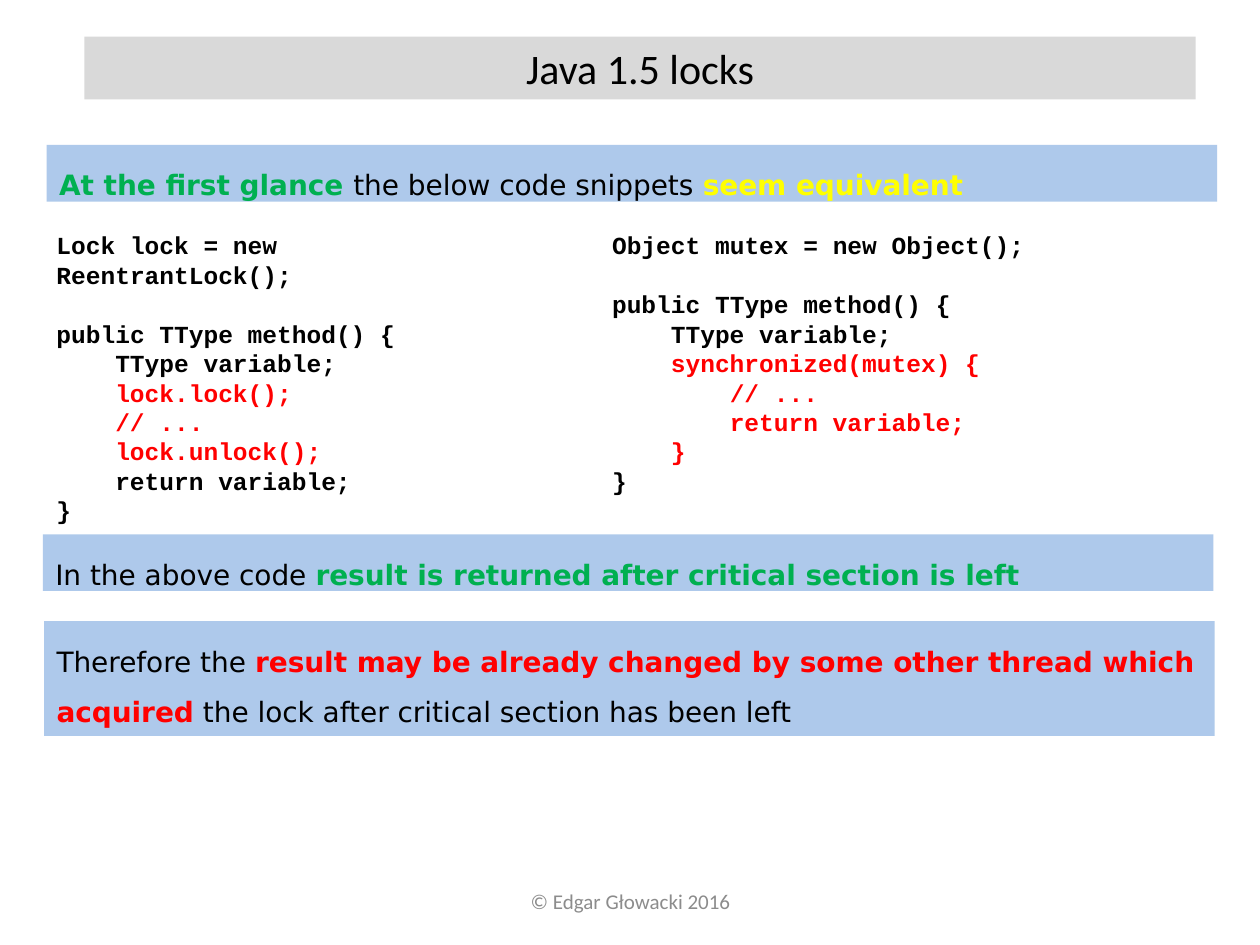
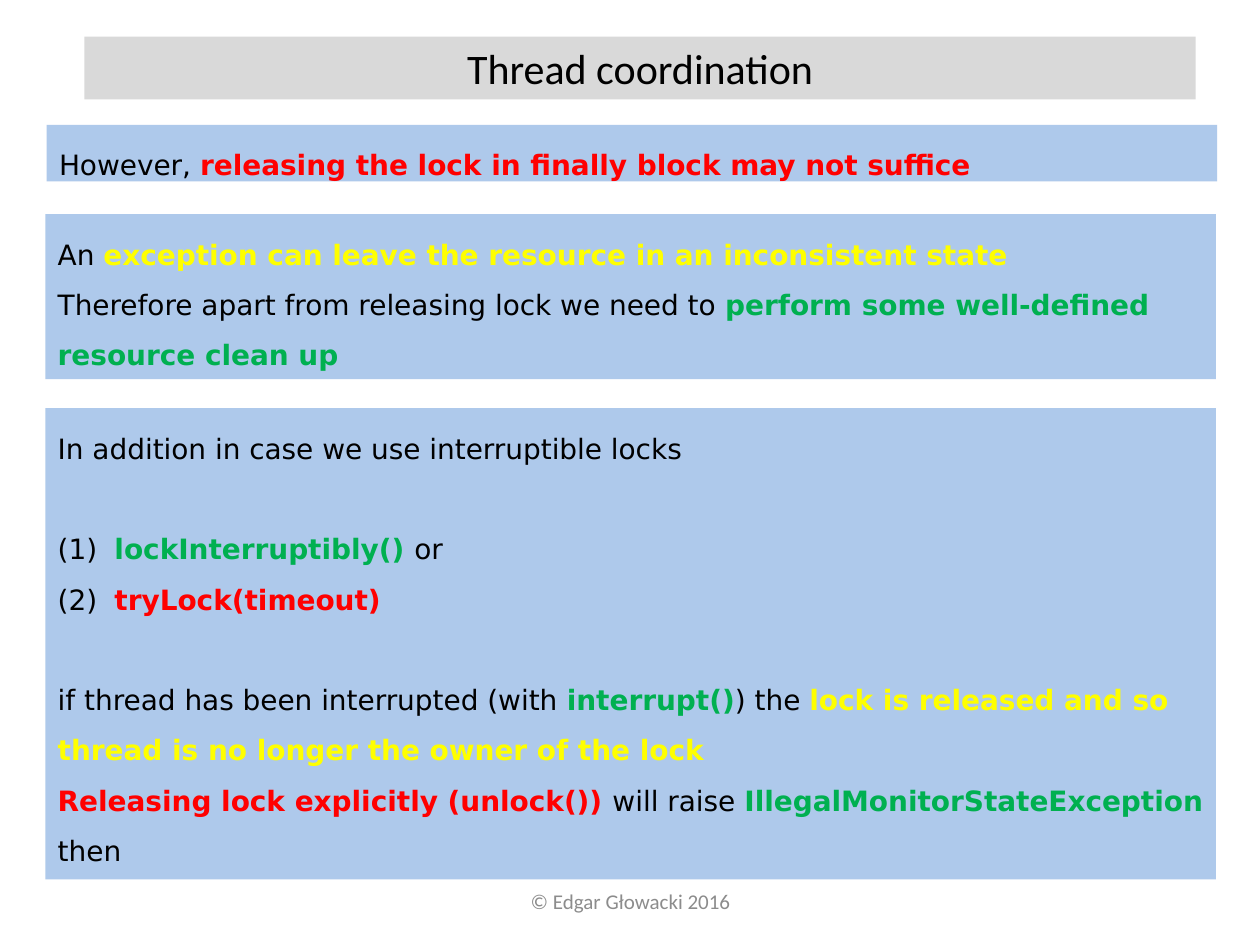
from pptx import Presentation
from pptx.dml.color import RGBColor
from pptx.enum.shapes import MSO_SHAPE
from pptx.enum.text import MSO_ANCHOR, PP_ALIGN
from pptx.oxml.ns import qn
from pptx.util import Inches, Pt
from lxml import etree

RECTANGLE = MSO_SHAPE.RECTANGLE
TOP, MIDDLE = MSO_ANCHOR.TOP, MSO_ANCHOR.MIDDLE
LEFT, CENTER = PP_ALIGN.LEFT, PP_ALIGN.CENTER

BLACK = RGBColor(0x00, 0x00, 0x00)
GREEN = RGBColor(0x00, 0xB0, 0x50)
YELLOW = RGBColor(0xFF, 0xFF, 0x00)
RED = RGBColor(0xFF, 0x00, 0x00)
FOOTER_GRAY = RGBColor(0x8C, 0x8C, 0x8C)
TITLE_GRAY = RGBColor(0xD9, 0xD9, 0xD9)
NOTE_BLUE = RGBColor(0x8E, 0xB4, 0xE3)

BODY_FONT, CODE_FONT, TITLE_FONT = "DejaVu Sans", "Courier New", "Calibri"
NOTE_WIDTH = 9.29
CODE_INDENT = 0.467  # four characters of code
CODE_GAP, NOTE_GAP = 16.8, 28.7  # one empty line, in points


def add_text(page, place, paragraphs, fill=None, opacity=None, font=BODY_FONT,
             size=16, bold=None, align=LEFT, anchor=TOP, spacing=None):
    """Each paragraph is (spans, options); a span is (text, colour).

    With bold=None, every span that is not black is bold.
    Options: before (points), indent (inches), numbered.
    """
    lengths = [Inches(length) for length in place]
    if fill is None:
        box = page.shapes.add_textbox(*lengths)
    else:
        box = page.shapes.add_shape(RECTANGLE, *lengths)
        box.shadow.inherit = False
        box.fill.solid()
        box.fill.fore_color.rgb = fill
        box.line.fill.background()
        if opacity:
            color = box.fill._xPr.find(qn("a:solidFill"))[0]
            etree.SubElement(color, qn("a:alpha")).set("val", str(opacity * 1000))
    frame = box.text_frame
    frame.word_wrap = True
    frame.vertical_anchor = anchor
    for index, (spans, options) in enumerate(paragraphs):
        para = frame.paragraphs[0] if index == 0 else frame.add_paragraph()
        para.alignment = align
        para.line_spacing = spacing
        if "before" in options:
            para.space_before = Pt(options["before"])
        properties = para._p.get_or_add_pPr()
        if "indent" in options:
            properties.set("marL", str(Inches(options["indent"])))
        if options.get("numbered"):
            properties.set("indent", str(-Inches(options["indent"])))
            number = etree.SubElement(properties, qn("a:buAutoNum"))
            number.set("type", "arabicParenBoth")
        for text, color in spans:
            span = para.add_run()
            span.text = text
            span.font.name = font
            span.font.size = Pt(size)
            span.font.color.rgb = color
            span.font.bold = color != BLACK if bold is None else bold


# Notes: left, top, height, paragraphs
lock_notes = [
    (0.37, 1.15, 0.45, [
        ([("At the first glance ", GREEN), ("the below code snippets ", BLACK),
          ("seem equivalent", YELLOW)], {})]),
    (0.34, 4.24, 0.45, [
        ([("In the above code ", BLACK),
          ("result is returned after critical section is left", GREEN)], {})]),
    (0.35, 4.93, 0.91, [
        ([("Therefore the ", BLACK),
          ("result may be already changed by some other thread which acquired", RED),
          (" the lock after critical section has been left", BLACK)], {})]),
]
coordination_notes = [
    (0.37, 0.99, 0.45, [
        ([("However, ", BLACK),
          ("releasing the lock in finally block may not suffice", RED)], {})]),
    (0.36, 1.7, 1.31, [
        ([("An ", BLACK),
          ("exception can leave the resource in an inconsistent state", YELLOW)], {}),
        ([("Therefore apart from releasing lock we need to ", BLACK),
          ("perform some well-defined resource clean up", GREEN)], {})]),
    (0.36, 3.24, 3.74, [
        ([("In addition in case we use interruptible locks", BLACK)], {}),
        ([(" ", BLACK), ("lockInterruptibly() ", GREEN), ("or", BLACK)],
         {"before": NOTE_GAP, "indent": 0.38, "numbered": True}),
        ([(" ", BLACK), ("tryLock(timeout)", RED)],
         {"indent": 0.38, "numbered": True}),
        ([("if thread has been interrupted (with ", BLACK), ("interrupt()", GREEN),
          (") the ", BLACK),
          ("lock is released and so thread is no longer the owner of the lock", YELLOW)],
         {"before": NOTE_GAP}),
        ([("Releasing lock explicitly (unlock()) ", RED), ("will raise ", BLACK),
          ("IllegalMonitorStateException", GREEN), (" then", BLACK)], {})]),
]

# Code snippets: left, lines of (indent level, text, colour)
snippets = [
    (0.35, [
        (0, "Lock lock = new ReentrantLock();", BLACK),
        (0, "public TType method() {", BLACK),
        (1, "TType variable;", BLACK),
        (1, "lock.lock();", RED),
        (1, "// ...", RED),
        (1, "lock.unlock();", RED),
        (1, "return variable;", BLACK),
        (0, "}", BLACK)]),
    (4.76, [
        (0, "Object mutex = new Object();", BLACK),
        (0, "public TType method() {", BLACK),
        (1, "TType variable;", BLACK),
        (1, "synchronized(mutex) {", RED),
        (2, "// ...", RED),
        (2, "return variable;", RED),
        (1, "}", RED),
        (0, "}", BLACK)]),
]

deck = Presentation()
deck.slide_width, deck.slide_height = Inches(10), Inches(7.5)

# Footer, title band and notes of every slide
for title, notes in [("Java 1.5 locks", lock_notes),
                     ("Thread coordination", coordination_notes)]:
    page = deck.slides.add_slide(deck.slide_layouts[6])
    add_text(page, (3.42, 6.95, 3.17, 0.4),
             [([("© Edgar Głowacki 2016", FOOTER_GRAY)], {})],
             font=TITLE_FONT, size=12, bold=False, align=CENTER, anchor=MIDDLE)
    add_text(page, (0.67, 0.29, 8.82, 0.5), [([(title, BLACK)], {})],
             fill=TITLE_GRAY, font=TITLE_FONT, size=24, align=CENTER)
    for left, top, height, paragraphs in notes:
        add_text(page, (left, top, NOTE_WIDTH, height), paragraphs,
                 fill=NOTE_BLUE, opacity=71, spacing=1.5)

# Code side by side on the first slide
for left, lines in snippets:
    paragraphs = []
    for index, (level, text, color) in enumerate(lines):
        options = {"indent": level * CODE_INDENT}
        if index == 1:
            options["before"] = CODE_GAP
        paragraphs.append(([(text, color)], options))
    add_text(deck.slides[0], (left, 1.78, 3.86, 2.22), paragraphs,
             font=CODE_FONT, size=14, bold=True)

deck.save("out.pptx")
